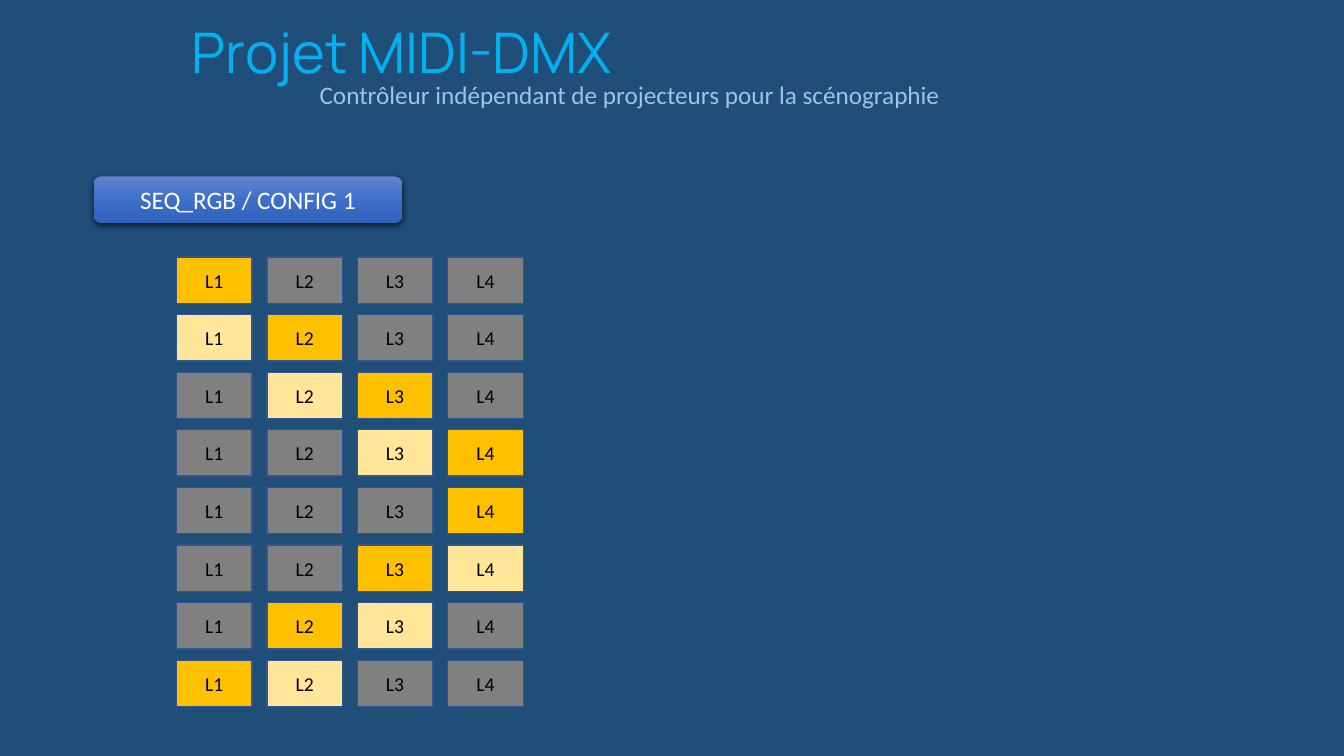
import copy
import pptx
import pptx.dml.color
import pptx.enum.shapes
import pptx.enum.text
import pptx.oxml
import pptx.oxml.ns
import pptx.util

SHAPE = pptx.enum.shapes.MSO_SHAPE
ANCHOR = pptx.enum.text.MSO_ANCHOR
INCH = pptx.util.Inches
NS = pptx.oxml.ns.nsdecls("a")

TONES = {"x": "FFC000", "o": "FFE699", ".": "808080"}
STEPS = ["x...", "ox..", ".ox.", "..ox", "...x", "..xo", ".xo.", "xo.."]


def tint(color, code):
    """Give a colour object its hex value."""
    color.rgb = pptx.dml.color.RGBColor.from_string(code)


def write(shape, text, size, code, font="Calibri", anchor=ANCHOR.MIDDLE):
    """Put one centred line of text into a shape and return its paragraph."""
    frame = shape.text_frame
    frame.word_wrap = True
    frame.vertical_anchor = anchor
    frame.text = text
    line = frame.paragraphs[0]
    line.alignment = pptx.enum.text.PP_ALIGN.CENTER
    run = line.runs[0]
    run.font.name = font
    run.font.size = pptx.util.Pt(size)
    tint(run.font.color, code)
    return line


def head(slide, box, text, size, code, font, anchor):
    """Add a heading line as a text box and return its paragraph."""
    area = slide.shapes.add_textbox(*map(INCH, box))
    line = write(area, text, size, code, font, anchor)
    line.line_spacing = 0.9
    return line


def badge(slide, box, text):
    """Add the rounded label with its gradient and soft shadow."""
    shape = slide.shapes.add_shape(SHAPE.ROUNDED_RECTANGLE, *map(INCH, box))
    shape.line.fill.background()
    shape.fill.gradient()
    shape.fill.gradient_angle = 270
    first, last = shape.fill.gradient_stops
    for stop, place, code in ((first, 0, "6183CB"), (last, 1, "3062BB")):
        stop.position = place
        tint(stop.color, code)
    props = shape._element.spPr
    start = props.find(".//" + pptx.oxml.ns.qn("a:gs"))
    mid = copy.deepcopy(start)
    mid.set("pos", "50000")
    mid[0].set("val", "3E70CA")
    start.addnext(mid)
    props.append(pptx.oxml.parse_xml(
        f'<a:effectLst {NS}><a:outerShdw blurRad="57150" dist="19050" '
        'dir="5400000" algn="ctr" rotWithShape="0"><a:srgbClr val="000000">'
        '<a:alpha val="63000"/></a:srgbClr></a:outerShdw></a:effectLst>'))
    write(shape, text, 18, "FFFFFF")


def lamps(slide, box, steps, wide=0.75, tall=0.46):
    """Fill the box with one row of lamps per step, evenly spaced."""
    left, top, width, height = box
    across = (width - wide) / (len(steps[0]) - 1)
    down = (height - tall) / (len(steps) - 1)
    for row, step in enumerate(steps):
        for col, tone in enumerate(step):
            spot = (left + col * across, top + row * down, wide, tall)
            lamp = slide.shapes.add_shape(SHAPE.RECTANGLE, *map(INCH, spot))
            lamp.shadow.inherit = False
            lamp.fill.solid()
            tint(lamp.fill.fore_color, TONES[tone])
            tint(lamp.line.color, "325491")
            lamp.line.width = pptx.util.Pt(1)
            write(lamp, f"L{col + 1}", 14, "000000")


def main():
    """Build the slide and save it."""
    deck = pptx.Presentation()
    deck.slide_width, deck.slide_height = INCH(13.33), INCH(7.5)
    slide = deck.slides.add_slide(deck.slide_layouts[6])
    slide.background.fill.solid()
    tint(slide.background.fill.fore_color, "1F4E79")
    head(slide, (0.2, 0.21, 7.57, 0.69), "Projet MIDI-DMX",
         40, "00B0F0", "Manrope", ANCHOR.BOTTOM)
    note = head(slide, (2.29, 0.77, 7.91, 0.46),
                "Contrôleur indépendant de projecteurs pour la scénographie",
                18, "9DC3E6", "Calibri", ANCHOR.TOP)
    note.space_before = pptx.util.Pt(10)
    badge(slide, (0.93, 1.75, 3.06, 0.46), "SEQ_RGB / CONFIG 1")
    lamps(slide, (1.75, 2.55, 3.44, 4.46), STEPS)
    deck.save("out.pptx")


if __name__ == "__main__":
    main()
